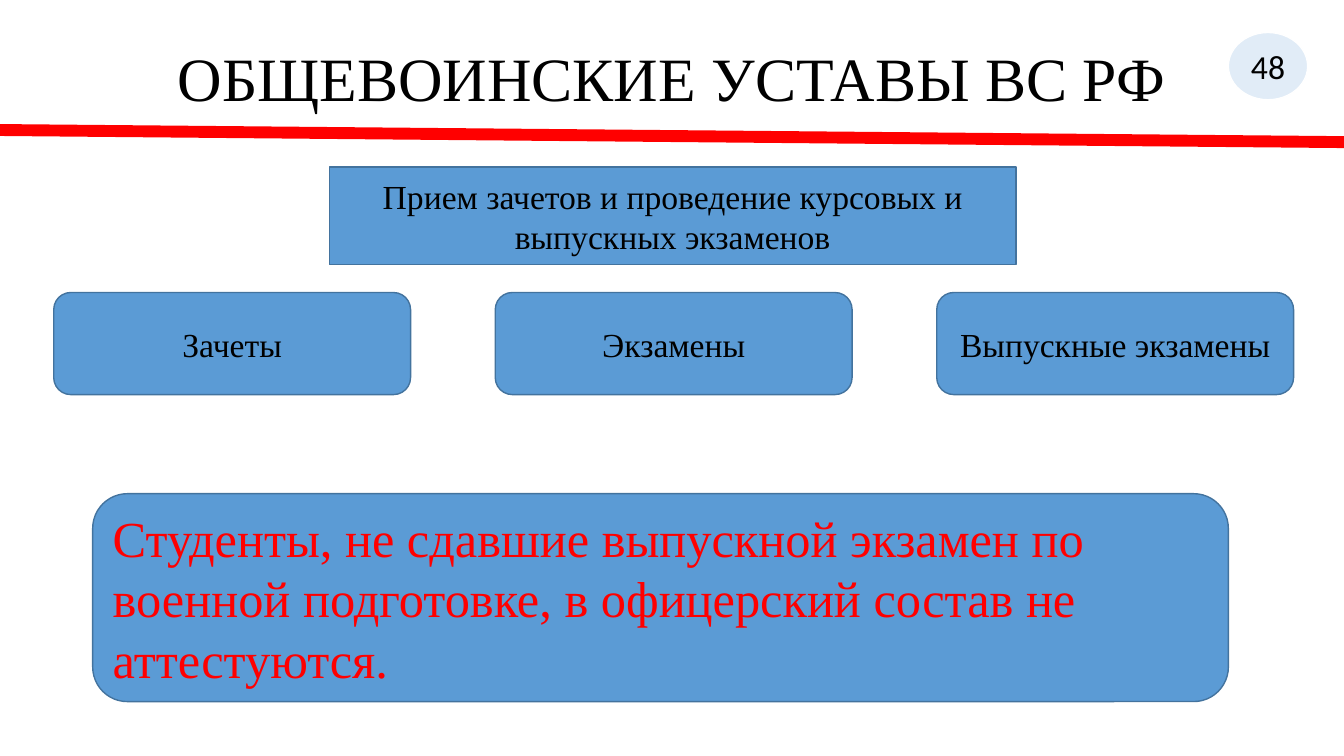
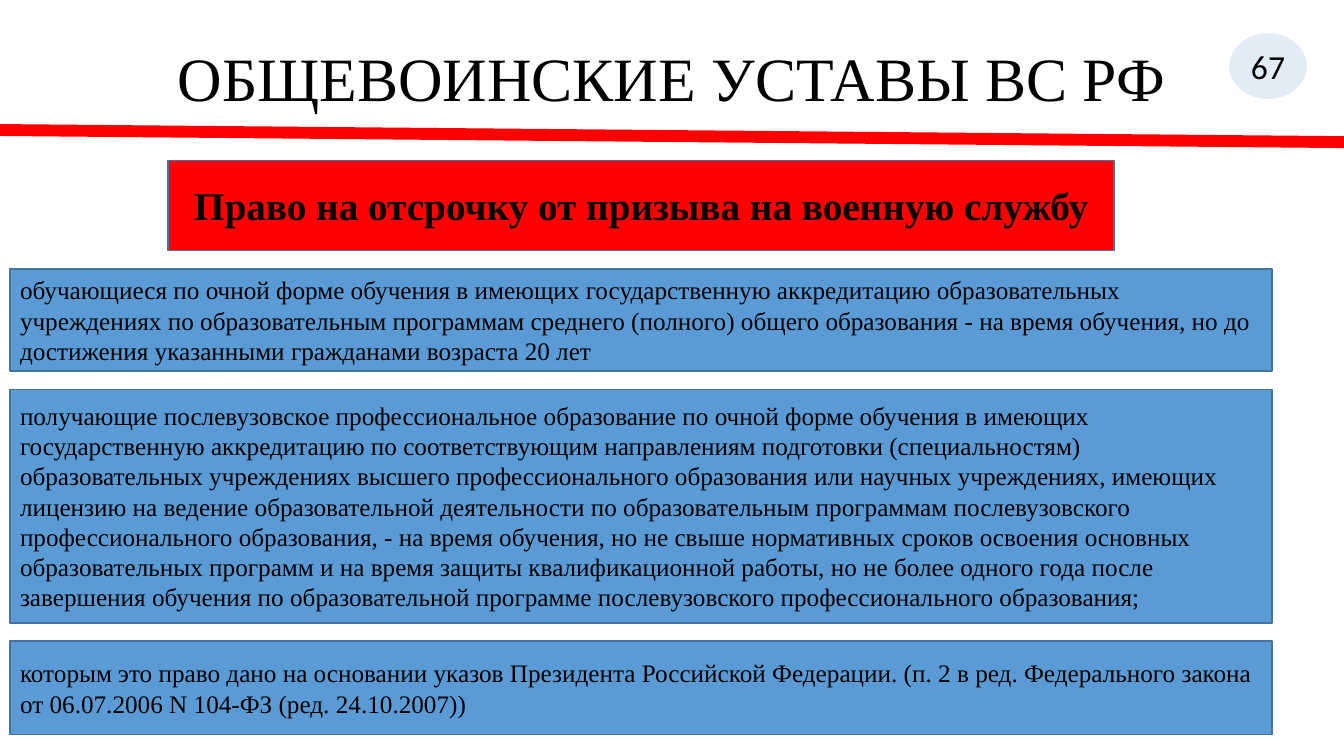
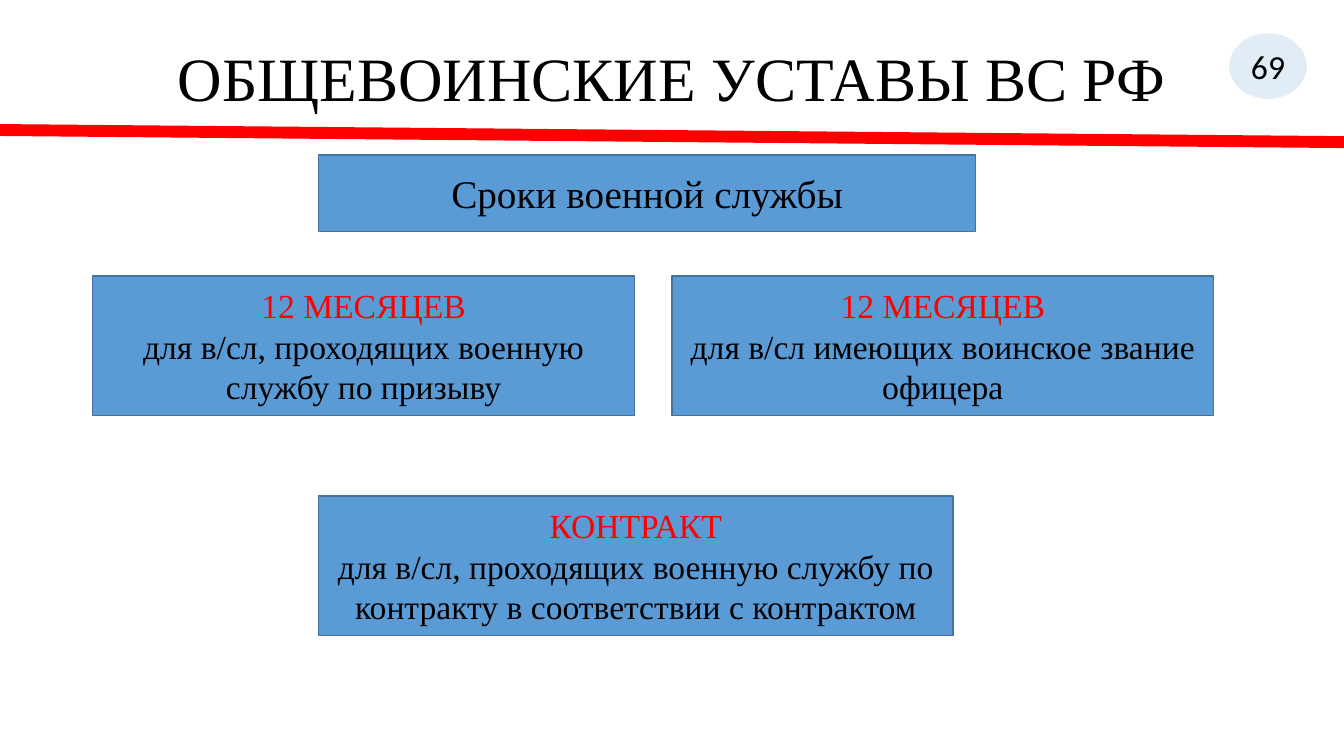
from lxml.etree import SubElement
from pptx import Presentation
from pptx.dml.color import RGBColor
from pptx.enum.shapes import MSO_CONNECTOR, MSO_SHAPE
from pptx.enum.text import MSO_ANCHOR, MSO_AUTO_SIZE, PP_ALIGN
from pptx.oxml.ns import qn
from pptx.util import Inches, Pt

BLUE = RGBColor(0x5B, 0x9B, 0xD5)
EDGE = RGBColor(0x43, 0x73, 0x9E)
RED = RGBColor(0xFF, 0x00, 0x00)
BLACK = RGBColor(0x00, 0x00, 0x00)
WHITE = RGBColor(0xFF, 0xFF, 0xFF)
SERIF, SANS = "Times New Roman", "Calibri"
RECT, ROUND = MSO_SHAPE.RECTANGLE, MSO_SHAPE.ROUNDED_RECTANGLE
LEFT, CENTER = PP_ALIGN.LEFT, PP_ALIGN.CENTER

prs = Presentation()
prs.slide_width, prs.slide_height = Inches(13.33), Inches(7.5)
COL, ROW = prs.slide_width / 100, prs.slide_height / 100


def place(sp, x, y, w, h):
    """Position a shape in percent of the slide's width and height."""
    sp.left, sp.top = round(x * COL), round(y * ROW)
    sp.width, sp.height = round(w * COL), round(h * ROW)


def add_box(s, kind, x, y, w, h, lines, size=24, align=CENTER, font=SERIF,
            fill=BLUE, edge=EDGE, bold=False):
    """Add a filled shape; lines is a list of (text, colour) paragraphs."""
    sp = s.shapes.add_shape(kind, 0, 0, 0, 0)
    place(sp, x, y, w, h)
    sp.shadow.inherit = False
    sp.fill.solid()
    sp.fill.fore_color.rgb = fill
    sp.line.color.rgb = edge
    sp.line.width = Pt(1)
    tf = sp.text_frame
    tf.word_wrap = True
    tf.vertical_anchor = MSO_ANCHOR.MIDDLE
    tf.text = "\n".join(text for text, _ in lines)
    for p, (_, color) in zip(tf.paragraphs, lines):
        p.alignment = align
        p.font.name, p.font.size, p.font.bold = font, Pt(size), bold
        p.runs[0].font.color.rgb = color
    return sp


# Shared title, red rule and number badge
slides = []
for number in ("48", "67", "69"):
    s = prs.slides.add_slide(prs.slide_layouts[5])
    slides.append(s)
    title = s.shapes.title
    place(title, 6.9, 5.3, 86.2, 10.9)
    tf = title.text_frame
    tf.text = "ОБЩЕВОИНСКИЕ УСТАВЫ ВС РФ"
    tf.auto_size = MSO_AUTO_SIZE.NONE
    tf.vertical_anchor = MSO_ANCHOR.MIDDLE
    p = tf.paragraphs[0]
    p.alignment, p.line_spacing = CENTER, 0.9
    p.font.name, p.font.size = SERIF, Pt(44)
    p.font.color.rgb = BLACK

    rule = s.shapes.add_connector(MSO_CONNECTOR.STRAIGHT, 0, round(17.2 * ROW),
                                  prs.slide_width, round(18.8 * ROW))
    rule.line.color.rgb = RED
    rule.line.width = Pt(8.5)
    SubElement(rule.line._ln.getparent(), qn("a:effectLst"))

    badge = add_box(s, MSO_SHAPE.OVAL, 91.4, 4.3, 5.9, 8.9, [(number, BLACK)],
                    font=SANS, edge=WHITE)
    badge.text_frame.word_wrap = False
    tint = badge._element.spPr.find(qn("a:solidFill")).find(qn("a:srgbClr"))
    SubElement(tint, qn("a:alpha"), val="18000")

exams, deferment, terms = slides

# Tests and examinations
add_box(exams, RECT, 24.5, 22.1, 51.1, 12.9,
        [("Прием зачетов и проведение курсовых и выпускных экзаменов", BLACK)])
for i, name in enumerate(("Зачеты", "Экзамены", "Выпускные экзамены")):
    add_box(exams, ROUND, 4 + i * 32.85, 38.7, 26.55, 13.5, [(name, BLACK)])
add_box(exams, ROUND, 6.9, 65.3, 84.5, 27.5,
        [("Студенты, не сдавшие выпускной экзамен по военной подготовке, "
          "в офицерский состав не аттестуются.", RED)], size=36, align=LEFT)

# Right to deferment
add_box(deferment, RECT, 12.5, 21.2, 70.4, 11.9,
        [("Право на отсрочку от призыва на военную службу", BLACK)],
        size=28, fill=RED, bold=True)
grounds = [
    (13.5, "обучающиеся по очной форме обучения в имеющих государственную "
           "аккредитацию образовательных учреждениях по образовательным программам "
           "среднего (полного) общего образования - на время обучения, но до "
           "достижения указанными гражданами возраста 20 лет"),
    (30.9, "получающие послевузовское профессиональное образование по очной форме "
           "обучения в имеющих государственную аккредитацию по соответствующим "
           "направлениям подготовки (специальностям) образовательных учреждениях "
           "высшего профессионального образования или научных учреждениях, имеющих "
           "лицензию на ведение образовательной деятельности по образовательным "
           "программам послевузовского профессионального образования, - на время "
           "обучения, но не свыше нормативных сроков освоения основных "
           "образовательных программ и на время защиты квалификационной работы, но "
           "не более одного года после завершения обучения по образовательной "
           "программе послевузовского профессионального образования;"),
    (12.4, "которым это право дано на основании указов Президента Российской "
           "Федерации. (п. 2 в ред. Федерального закона от 06.07.2006 N 104-ФЗ "
           "(ред. 24.10.2007))"),
]
top, gap = 35.6, 2.4
for height, text in grounds:
    add_box(deferment, RECT, 0.75, top, 93.9, height, [(text, BLACK)],
            size=18, align=LEFT)
    top += height + gap

# Terms of service
add_box(terms, RECT, 23.7, 20.5, 48.9, 10.1, [("Сроки военной службы", BLACK)],
        size=28)
for x, y, width, term, who in (
    (6.9, 36.5, 40.3, "12 МЕСЯЦЕВ", "для в/сл, проходящих военную службу по призыву"),
    (50, 36.5, 40.3, "12 МЕСЯЦЕВ", "для в/сл имеющих воинское звание офицера"),
    (23.7, 65.6, 47.2, "КОНТРАКТ",
     "для в/сл, проходящих военную службу по контракту в соответствии с контрактом"),
):
    add_box(terms, RECT, x, y, width, 18.5, [(term, RED), (who, BLACK)])

prs.save("out.pptx")
